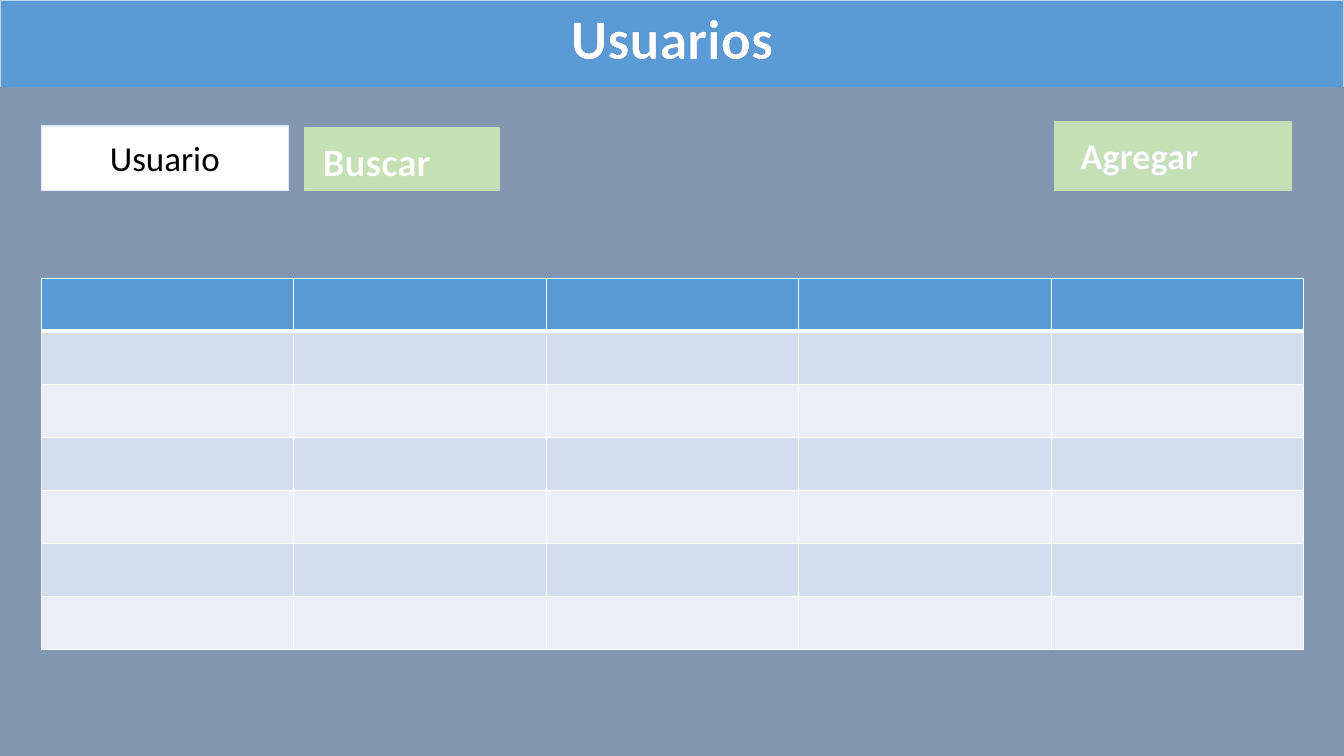
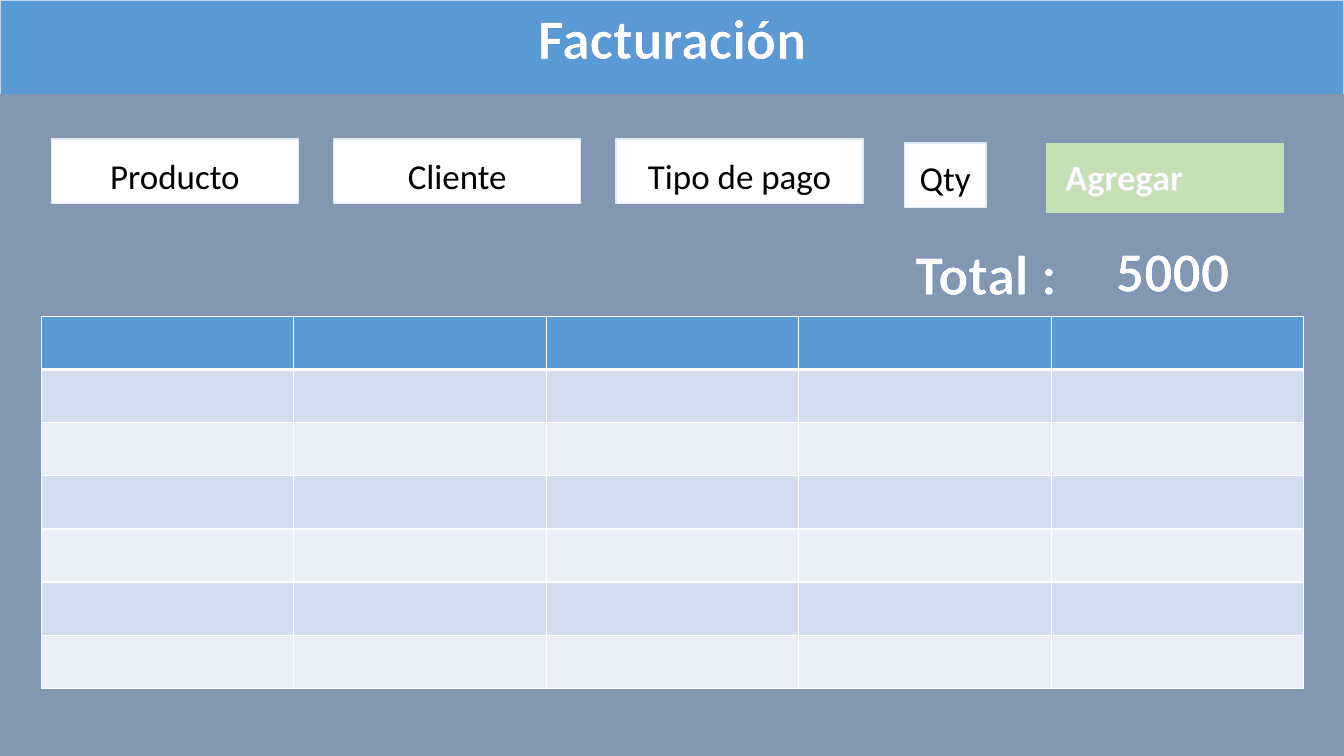
from lxml.etree import SubElement
from pptx import Presentation
from pptx.dml.color import RGBColor
from pptx.enum.shapes import MSO_SHAPE
from pptx.enum.text import MSO_ANCHOR, MSO_AUTO_SIZE, PP_ALIGN
from pptx.oxml.ns import qn
from pptx.util import Inches, Pt

FONT = "Calibri"
WHITE, BLACK = "FFFFFF", "000000"
BLUE, BLUE_EDGE, TITLE_EDGE = "5B9BD5", "BDD7EE", "4472C4"
SLATE, FIELD_EDGE = "8497B0", "DEEBF7"
GREEN, LABEL_EDGE = "C5E0B4", "D6DCE5"
BANDS = ("D2DEEF", "EAEFF7")

SLIDE_W, SLIDE_H = 13.33, 7.5
FIELD_W, FIELD_H = 2.45, 0.64
TABLE_LEFT, TABLE_W, TABLE_H = 0.41, 12.52, 3.69
TABLE_ROWS, TABLE_COLS = 7, 5


def rgb(color):
    return RGBColor.from_string(color)


def box(left, top, width, height):
    return [Inches(v) for v in (left, top, width, height)]


def add_solid_fill(parent, color):
    fill = SubElement(parent, qn("a:solidFill"))
    SubElement(fill, qn("a:srgbClr"), val=color)


def add_rect(slide, at, fill, line):
    sp = slide.shapes.add_shape(MSO_SHAPE.RECTANGLE, *box(*at))
    sp.shadow.inherit = False
    sp.fill.solid()
    sp.fill.fore_color.rgb = rgb(fill)
    sp.line.color.rgb = rgb(line)
    sp.line.width = Pt(1)


def set_text(sp, text, size, color=WHITE, outline=None, wrap=False):
    """Write one centred line; an outline colour also makes it bold."""
    tf = sp.text_frame
    tf.text = text
    tf.word_wrap = wrap
    tf.auto_size = MSO_AUTO_SIZE.SHAPE_TO_FIT_TEXT
    tf.vertical_anchor = MSO_ANCHOR.TOP
    p = tf.paragraphs[0]
    p.alignment = PP_ALIGN.CENTER
    r = p.runs[0]
    r.font.name = FONT
    r.font.size = Pt(size)
    r.font.bold = outline is not None
    r.font.color.rgb = rgb(color)
    if outline:
        r_pr = r.font._element
        ln = SubElement(r_pr, qn("a:ln"), w=str(Pt(0.8)))
        add_solid_fill(ln, outline)
        r_pr.insert(0, ln)


def add_text(slide, at, text, size, **style):
    sp = slide.shapes.add_textbox(*box(*at))
    set_text(sp, text, size, **style)
    return sp


def add_heading(slide, at, text):
    add_text(slide, at, text, 40, outline=TITLE_EDGE)


def add_field(slide, text, left, top, label_top, label_w, width=FIELD_W):
    add_rect(slide, (left, top, width, FIELD_H), WHITE, FIELD_EDGE)
    label_left = left + (width - label_w) / 2
    add_text(slide, (label_left, label_top, label_w, 0.52), text, 25, color=BLACK)


def add_button(slide, text, at, label_at, size, outline=LABEL_EDGE, wrap=False):
    add_rect(slide, at, GREEN, GREEN)
    sp = add_text(slide, label_at, text, size, outline=outline, wrap=wrap)
    sp.line.color.rgb = rgb(GREEN)
    sp.line.width = Pt(0.75)


def style_cell(cell, fill, top, bottom):
    """Fill a cell and draw its white borders, given top and bottom widths."""
    tc_pr = cell._tc.get_or_add_tcPr()
    for tag, width in (("a:lnL", 1), ("a:lnR", 1), ("a:lnT", top), ("a:lnB", bottom)):
        add_solid_fill(SubElement(tc_pr, qn(tag), w=str(Pt(width))), WHITE)
    cell.fill.solid()
    cell.fill.fore_color.rgb = rgb(fill)


def add_grid(slide, top):
    frame = slide.shapes.add_table(
        TABLE_ROWS, TABLE_COLS, *box(TABLE_LEFT, top, TABLE_W, TABLE_H))
    for i, row in enumerate(frame.table.rows):
        fill = BANDS[(i - 1) % 2] if i else BLUE
        for cell in row.cells:
            style_cell(cell, fill, 3 if i == 1 else 1, 3 if i == 0 else 1)


def add_screen(prs, title, title_w, band_h):
    slide = prs.slides.add_slide(prs.slide_layouts[5])
    add_rect(slide, (0, 0, SLIDE_W, SLIDE_H), BLUE, BLUE_EDGE)
    add_rect(slide, (0, band_h, SLIDE_W, SLIDE_H - band_h), SLATE, SLATE)
    sp = slide.shapes.title
    sp.left, sp.top, sp.width, sp.height = box(
        (SLIDE_W - title_w) / 2, -0.02, title_w, 0.77)
    set_text(sp, title, 40, outline=TITLE_EDGE)
    slide.shapes._spTree.append(sp._element)  # in front of the band
    return slide


def build_users(prs):
    slide = add_screen(prs, "Usuarios", 2.24, 0.87)
    add_grid(slide, 2.76)
    add_field(slide, "Usuario", 0.41, 1.25, 1.31, 1.3)
    add_button(slide, "Buscar", (3.02, 1.27, 1.93, 0.62),
               (3.02, 1.31, 1.43, 0.57), 28, outline=GREEN, wrap=True)
    add_button(slide, "Agregar", (10.46, 1.21, 2.35, 0.68),
               (10.61, 1.27, 1.38, 0.54), 26)


def build_billing(prs):
    slide = add_screen(prs, "Facturación", 2.89, 0.94)
    fields = (("Producto", 1.5), ("Cliente", 1.2), ("Tipo de pago", 2.04))
    for i, (text, label_w) in enumerate(fields):
        add_field(slide, text, 0.51 + 2.8 * i, 1.38, 1.48, label_w)
    add_field(slide, "Qty", 8.97, 1.42, 1.5, 0.72, width=0.81)
    add_button(slide, "Agregar", (10.38, 1.43, 2.35, 0.68),
               (10.46, 1.48, 1.38, 0.54), 26)
    add_heading(slide, (8.97, 2.32, 1.62, 0.77), "Total :")
    add_heading(slide, (10.96, 2.29, 1.34, 0.77), "5000")
    add_grid(slide, 3.14)


def main():
    prs = Presentation()
    prs.slide_width, prs.slide_height = Inches(SLIDE_W), Inches(SLIDE_H)
    build_users(prs)
    build_billing(prs)
    prs.save("out.pptx")


if __name__ == "__main__":
    main()
